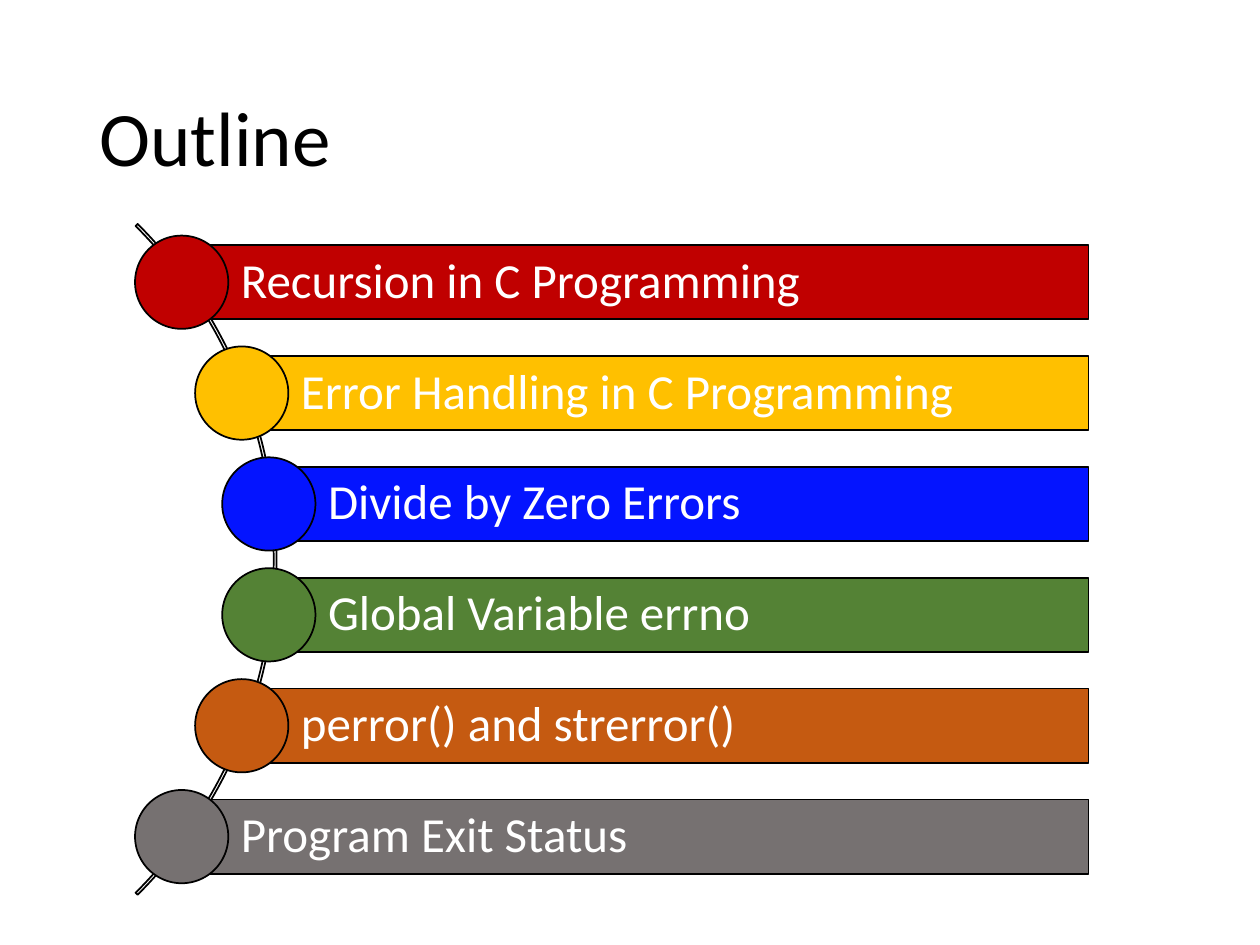
from math import sqrt

from pptx import Presentation
from pptx.dml.color import RGBColor
from pptx.enum.shapes import MSO_SHAPE
from pptx.enum.text import MSO_ANCHOR, PP_ALIGN
from pptx.util import Inches, Pt

ARC, BAR, DOT = MSO_SHAPE.BLOCK_ARC, MSO_SHAPE.RECTANGLE, MSO_SHAPE.OVAL
LEFT, MIDDLE = PP_ALIGN.LEFT, MSO_ANCHOR.MIDDLE
FONT = "Calibri"
COLORS = {
    "black": "000000", "white": "FFFFFF", "red": "C00000", "amber": "FFC000",
    "blue": "0414FF", "green": "548235", "orange": "C55A11", "grey": "767171",
}

# Content
TITLE = "Outline"
TOPICS = [
    ("Recursion in C Programming", "red"),
    ("Error Handling in C Programming", "amber"),
    ("Divide by Zero Errors", "blue"),
    ("Global Variable errno", "green"),
    ("perror() and strerror()", "orange"),
    ("Program Exit Status", "grey"),
]

# Geometry in inches: dots sit on a curve just inside the arc
ARC_X, ARC_Y, ARC_SIZE = -1.57, 4.44, 7.53
CURVE_R = 3.73
PITCH, BAR_H, DOT_SIZE, BAR_RIGHT = 0.88, 0.59, 0.74, 8.64


def color(name):
    return RGBColor.from_string(COLORS[name])


def add_shape(s, kind, x, y, w, h, fill=None):
    sp = s.shapes.add_shape(kind, Inches(x), Inches(y), Inches(w), Inches(h))
    sp.shadow.inherit = False
    if fill:
        sp.fill.solid()
        sp.fill.fore_color.rgb = color(fill)
    else:
        sp.fill.background()
    sp.line.color.rgb = color("black")
    sp.line.width = Pt(1)
    return sp


def set_text(sp, text, size, font_color):
    tf = sp.text_frame
    tf.text = text
    tf.word_wrap = True
    tf.vertical_anchor = MIDDLE
    p = tf.paragraphs[0]
    p.alignment = LEFT
    p.line_spacing = 0.9
    p.font.name = FONT
    p.font.size = Pt(size)
    p.font.color.rgb = color(font_color)
    return tf


prs = Presentation()
prs.slide_width, prs.slide_height = Inches(10), Inches(7.5)
s = prs.slides.add_slide(prs.slide_layouts[5])

# Title
title = s.shapes.title
title.left, title.top = Inches(0.69), Inches(0.4)
title.width, title.height = Inches(8.62), Inches(1.45)
set_text(title, TITLE, 44, "black")

# Arc behind the list, from 315 to 45 degrees
arc = add_shape(s, ARC, ARC_X - ARC_SIZE / 2, ARC_Y - ARC_SIZE / 2, ARC_SIZE, ARC_SIZE)
for i, value in enumerate((189, 27, 0.003)):
    arc.adjustments[i] = value

# One bar and one dot per topic
for i, (topic, fill) in enumerate(TOPICS):
    dy = (i - (len(TOPICS) - 1) / 2) * PITCH
    x, y = ARC_X + sqrt(CURVE_R ** 2 - dy ** 2), ARC_Y + dy
    bar = add_shape(s, BAR, x, y - BAR_H / 2, BAR_RIGHT - x, BAR_H, fill)
    tf = set_text(bar, topic, 28, "white")
    tf.margin_left = Inches(0.47)
    tf.margin_top = tf.margin_right = tf.margin_bottom = Inches(0.08)
    add_shape(s, DOT, x - DOT_SIZE / 2, y - DOT_SIZE / 2, DOT_SIZE, DOT_SIZE, fill)

prs.save("out.pptx")
